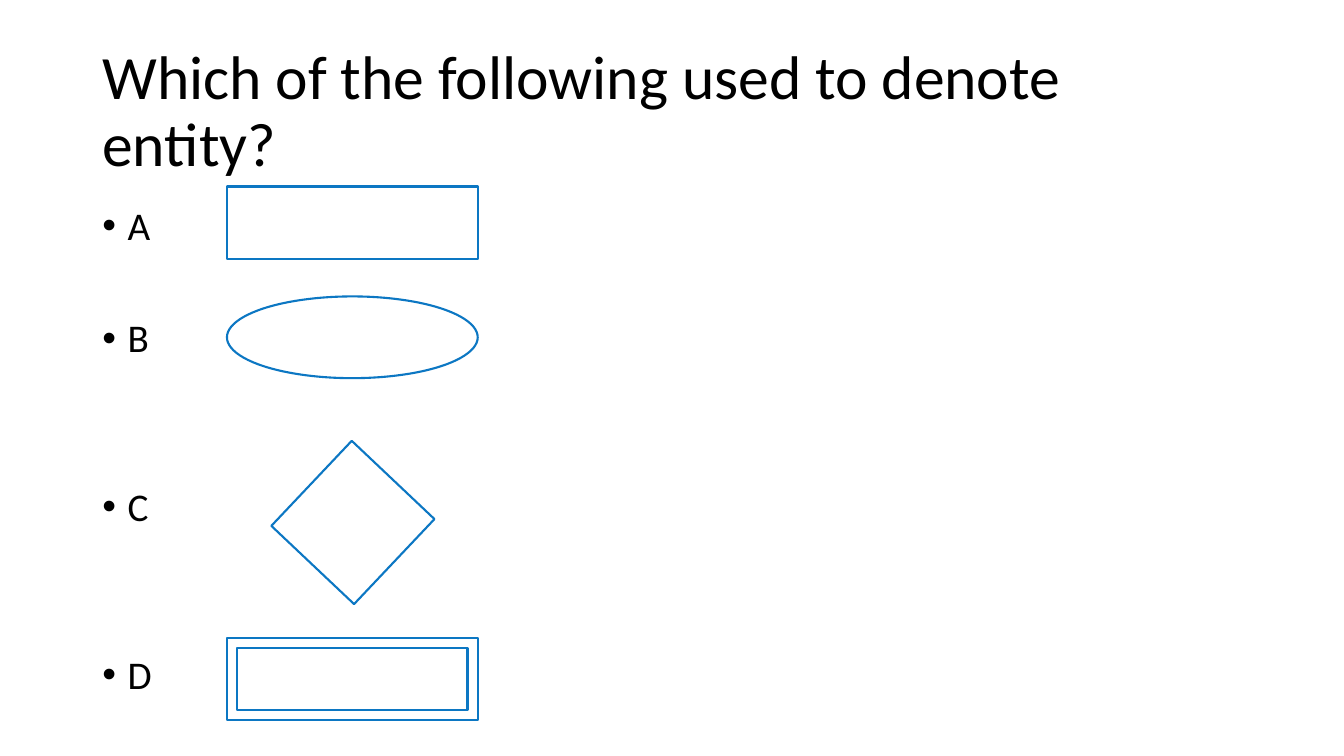
import pptx
import pptx.dml.color
import pptx.enum.shapes
import pptx.enum.text
import pptx.util
from pptx.util import Cm

SHAPE = pptx.enum.shapes.MSO_SHAPE
ANCHOR = pptx.enum.text.MSO_ANCHOR
LEFT, WIDTH = 2.33, 29.21
SYMBOL_LEFT, SYMBOL_WIDTH = 5.72, 6.32


def color(value):
    """Return the RGB colour for a hex string."""
    return pptx.dml.color.RGBColor.from_string(value)


def add_bullet(p, indent):
    """Give a paragraph a round bullet with a hanging indent."""
    pPr = p._p.get_or_add_pPr()
    pPr.set("marL", str(indent))
    pPr.set("indent", str(-indent))
    for tag, attr, value in (("a:buFont", "typeface", "Arial"), ("a:buChar", "char", "•")):
        element = pptx.oxml.xmlchemy.OxmlElement(tag)
        element.set(attr, value)
        pPr.append(element)


def write(p, text, size=28, font="Calibri", fill="000000", before=0, bullet=False):
    """Write formatted text into a paragraph."""
    if bullet:
        add_bullet(p, Cm(0.64))
    p.line_spacing = 0.9
    p.space_before = pptx.util.Pt(before)
    r = p.add_run()
    r.text = text
    r.font.size = pptx.util.Pt(size)
    r.font.name = font
    r.font.color.rgb = color(fill)


def add_box(s, top, height, anchor=ANCHOR.TOP):
    """Add a wrapping text box and return its text frame."""
    tf = s.shapes.add_textbox(Cm(LEFT), Cm(top), Cm(WIDTH), Cm(height)).text_frame
    tf.word_wrap = True
    tf.vertical_anchor = anchor
    return tf


def add_title(s, text):
    """Add the question at the top of the slide."""
    tf = add_box(s, 1.01, 3.68, ANCHOR.MIDDLE)
    write(tf.paragraphs[0], text, size=44)


def add_options(s, options):
    """Add bulleted options, each with its space before in points."""
    tf = add_box(s, 5.08, 13.97)
    for i, (text, before) in enumerate(options):
        p = tf.add_paragraph() if i else tf.paragraphs[0]
        write(p, text, before=before, bullet=True)


def add_symbol(s, kind, top, height, left=SYMBOL_LEFT, width=SYMBOL_WIDTH, rotation=0):
    """Add an outlined diagram symbol."""
    sp = s.shapes.add_shape(kind, Cm(left), Cm(top), Cm(width), Cm(height))
    sp.rotation = rotation
    sp.shadow.inherit = False
    sp.fill.background()
    sp.line.color.rgb = color("0C77C3")
    sp.line.width = pptx.util.Pt(1.5)


def main():
    """Build the quiz slide."""
    prs = pptx.Presentation()
    prs.slide_width, prs.slide_height = Cm(33.87), Cm(19.05)
    s = prs.slides.add_slide(prs.slide_layouts[6])
    add_title(s, "Which of the following used to denote entity?")
    add_options(s, [("A", 0), ("B", 50), ("C", 90), ("D", 90)])
    add_symbol(s, SHAPE.RECTANGLE, 4.7, 1.82)
    add_symbol(s, SHAPE.OVAL, 7.47, 2.06)
    add_symbol(s, SHAPE.RECTANGLE, 11.73, 2.87, left=7.42, width=2.95, rotation=313.4)
    add_symbol(s, SHAPE.FRAME, 16.08, 2.06)
    prs.save("out.pptx")


if __name__ == "__main__":
    main()
